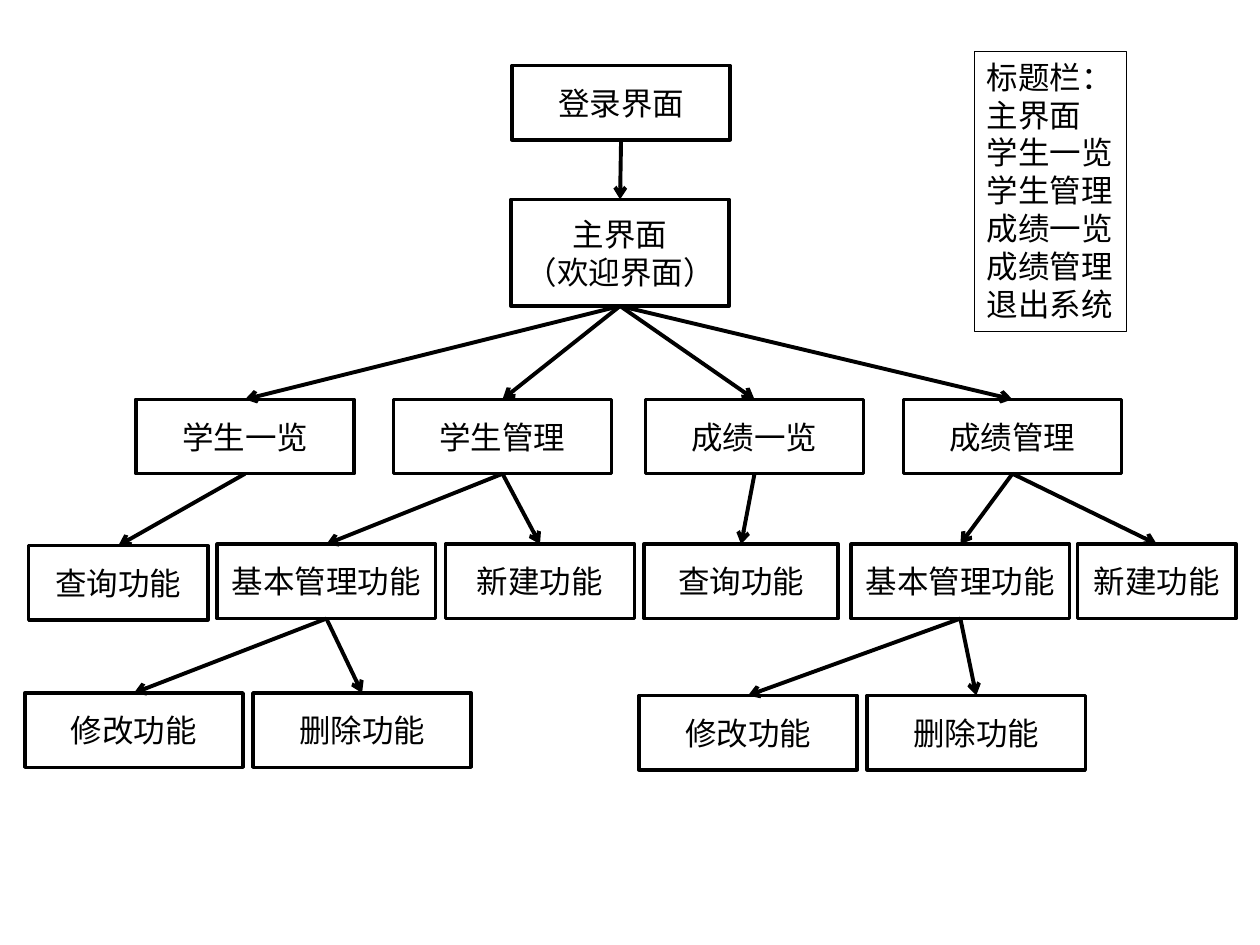
import dataclasses

import pptx
import pptx.dml.color
import pptx.enum.shapes
import pptx.enum.text
import pptx.oxml
import pptx.oxml.ns
import pptx.util
from pptx.util import Cm


@dataclasses.dataclass(frozen=True)
class Theme:
    ink: str = "000000"
    paper: str = "FFFFFF"
    font: str = "Calibri"
    text_size: float = 18
    box_line: float = 2
    arrow_line: float = 2.25
    legend_line: float = 0.75


@dataclasses.dataclass
class Node:
    text: str
    left: float
    top: float
    width: float = 4.4
    height: float = 1.5
    children: tuple = ()


class Diagram:
    """Draws a tree of boxes and a legend on one slide in one style."""

    def __init__(self, slide, theme):
        self.slide = slide
        self.theme = theme

    def color(self, value):
        return pptx.dml.color.RGBColor.from_string(value)

    def style_line(self, line, width):
        line.color.rgb = self.color(self.theme.ink)
        line.width = pptx.util.Pt(width)

    def set_text(self, shape, text, alignment):
        shape.text_frame.text = text
        for paragraph in shape.text_frame.paragraphs:
            paragraph.alignment = alignment
            for run in paragraph.runs:
                run.font.name = self.theme.font
                run.font.size = pptx.util.Pt(self.theme.text_size)
                run.font.color.rgb = self.color(self.theme.ink)

    def box(self, node):
        shape = self.slide.shapes.add_shape(
            pptx.enum.shapes.MSO_SHAPE.RECTANGLE,
            Cm(node.left), Cm(node.top), Cm(node.width), Cm(node.height))
        shape.shadow.inherit = False
        shape.fill.solid()
        shape.fill.fore_color.rgb = self.color(self.theme.paper)
        self.style_line(shape.line, self.theme.box_line)
        shape.text_frame.vertical_anchor = pptx.enum.text.MSO_ANCHOR.MIDDLE
        self.set_text(shape, node.text, pptx.enum.text.PP_ALIGN.CENTER)
        return shape

    def arrow(self, parent, child):
        connector = self.slide.shapes.add_connector(
            pptx.enum.shapes.MSO_CONNECTOR.STRAIGHT, 0, 0, 0, 0)
        connector.begin_connect(parent, 2)
        connector.end_connect(child, 0)
        self.style_line(connector.line, self.theme.arrow_line)
        properties = connector._element.spPr
        tail = pptx.oxml.parse_xml(
            f'<a:tailEnd {pptx.oxml.ns.nsdecls("a")} type="arrow"/>')
        properties.find(pptx.oxml.ns.qn("a:ln")).append(tail)
        properties.append(pptx.oxml.parse_xml(
            f'<a:effectLst {pptx.oxml.ns.nsdecls("a")}/>'))

    def tree(self, node):
        parent = self.box(node)
        for child in node.children:
            self.arrow(parent, self.tree(child))
        return parent

    def legend(self, lines, left, top, width, height):
        shape = self.slide.shapes.add_textbox(
            Cm(left), Cm(top), Cm(width), Cm(height))
        shape.text_frame.word_wrap = False
        shape.text_frame.auto_size = pptx.enum.text.MSO_AUTO_SIZE.SHAPE_TO_FIT_TEXT
        self.style_line(shape.line, self.theme.legend_line)
        self.set_text(shape, "\n".join(lines), pptx.enum.text.PP_ALIGN.LEFT)


def management(left, top):
    return tuple(Node(text, left + index * 4.6, top)
                 for index, text in enumerate(("修改功能", "删除功能")))


page_top, feature_top = 8.05, 10.97
pages = (
    Node("学生一览", 2.74, page_top, children=(
        Node("查询功能", 0.58, 11, 3.61),)),
    Node("学生管理", 7.93, page_top, children=(
        Node("基本管理功能", 4.38, feature_top, children=management(0.5, 13.97)),
        Node("新建功能", 8.98, feature_top, 3.81))),
    Node("成绩一览", 13.01, page_top, children=(
        Node("查询功能", 12.98, feature_top, 3.92),)),
    Node("成绩管理", 18.21, page_top, children=(
        Node("基本管理功能", 17.16, feature_top, children=management(12.88, 14.02)),
        Node("新建功能", 21.72, feature_top, 3.2))),
)
home = Node("主界面\n（欢迎界面）", 10.3, 4.02, height=2.15, children=pages)
login = Node("登录界面", 10.32, 1.32, children=(home,))

presentation = pptx.Presentation()
presentation.slide_width = Cm(25.4)
presentation.slide_height = Cm(19.05)
slide = presentation.slides.add_slide(presentation.slide_layouts[6])
diagram = Diagram(slide, Theme())
diagram.tree(login)
diagram.legend(
    ("标题栏：", "主界面", *(page.text for page in pages), "退出系统"),
    19.64, 1.04, 3.07, 5.64)
presentation.save("out.pptx")
